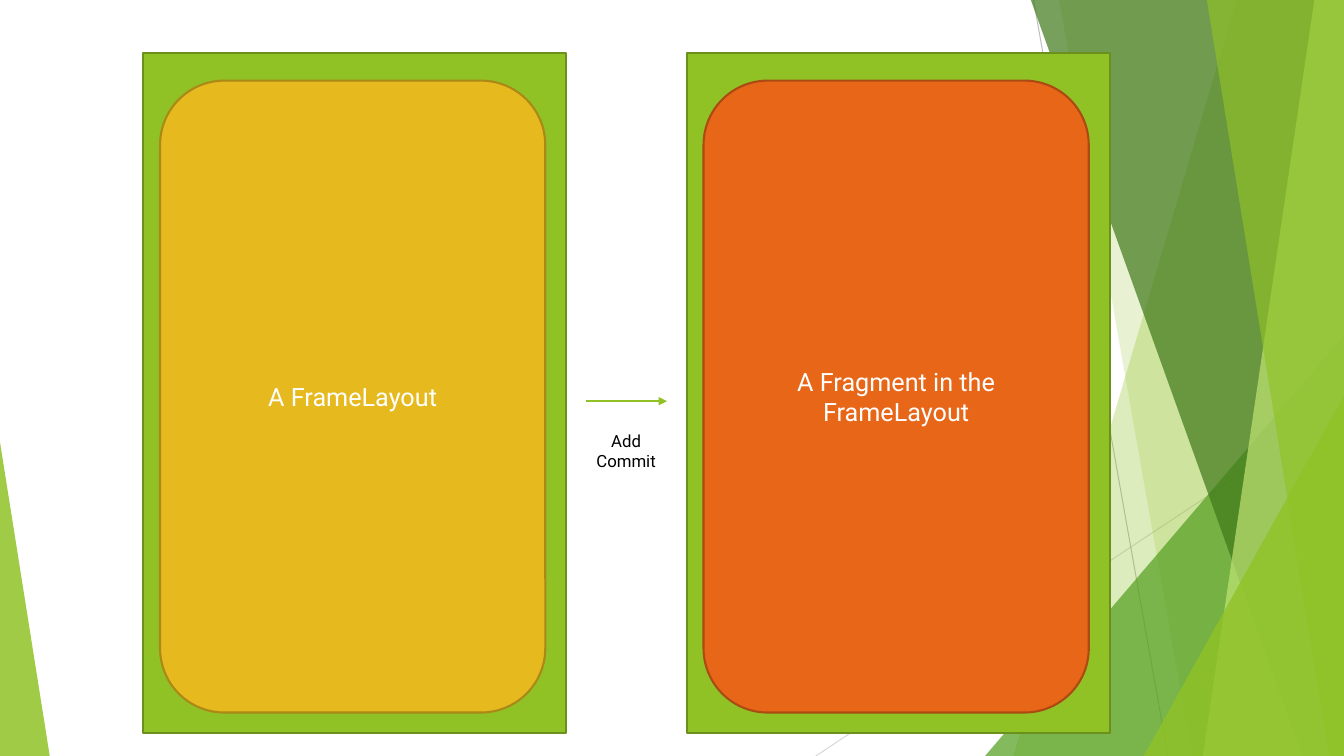
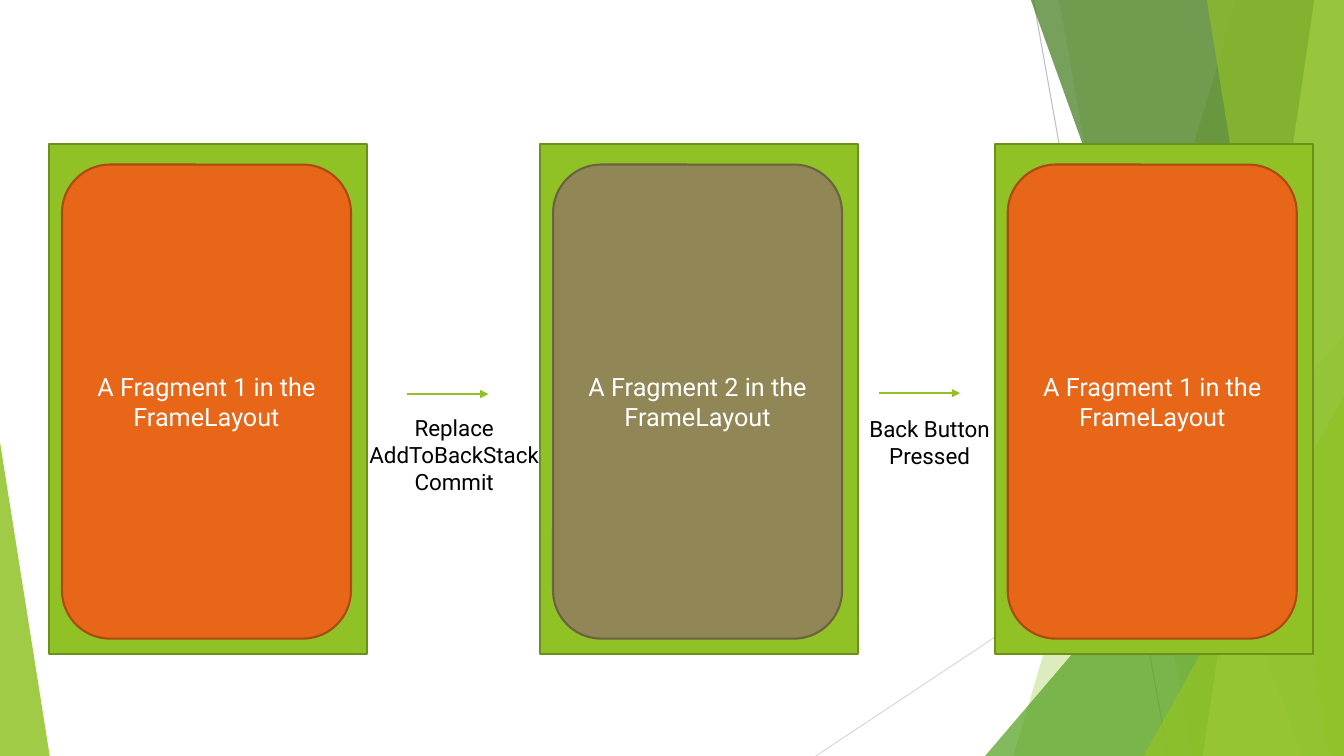
from dataclasses import dataclass

from lxml import etree
from pptx import Presentation
from pptx.dml.color import RGBColor
from pptx.enum.shapes import MSO_CONNECTOR, MSO_SHAPE
from pptx.enum.text import MSO_ANCHOR, MSO_AUTO_SIZE, PP_ALIGN
from pptx.oxml.ns import qn
from pptx.util import Inches, Pt

RECTANGLE = MSO_SHAPE.RECTANGLE
ROUNDED = MSO_SHAPE.ROUNDED_RECTANGLE
STRAIGHT = MSO_CONNECTOR.STRAIGHT
CENTER = PP_ALIGN.CENTER
MIDDLE = MSO_ANCHOR.MIDDLE
GROW = MSO_AUTO_SIZE.SHAPE_TO_FIT_TEXT

SLIDE_W = Inches(40 / 3)
SLIDE_H = Inches(7.5)
BLANK_LAYOUT = 6
FONT = "Roboto"
WHITE, BLACK = "FFFFFF", "000000"
LIME, LIME_EDGE = "90C226", "6B901C"
YELLOW = ("E6B91E", "AA8916")
ORANGE = ("E76618", "AB4B12")
OLIVE = ("918655", "6B633F")

PHONE_RATIO = 1.605
SCREEN_LEFT, SCREEN_TOP = 0.04, 0.04
SCREEN_W, SCREEN_H = 0.91, 0.93
ARROW_LENGTH = 6.04


@dataclass(frozen=True)
class Facet:
    color: str
    opacity: int
    corners: tuple[tuple[float, float], ...]


@dataclass(frozen=True)
class Ray:
    color: str
    start: tuple[float, float]
    end: tuple[float, float]


@dataclass(frozen=True)
class Phone:
    left: float
    caption: str
    colors: tuple[str, str]


@dataclass(frozen=True)
class Step:
    arrow_left: float
    arrow_top: float
    label: str
    label_box: tuple[float, float, float, float]


@dataclass(frozen=True)
class Flow:
    phone_top: float
    phone_width: float
    label_size: int
    phones: tuple[Phone, ...]
    steps: tuple[Step, ...]


RAYS = (
    Ray("D9D9D9", (60.7, 100), (99.8, 53.9)),
    Ray("BFBFBF", (76.9, 0), (86.9, 100)),
)
FACETS = (
    Facet(LIME, 30, ((92, 0), (75.4, 100), (100, 100), (100, 0))),
    Facet(LIME, 20, ((78.8, 0), (88.7, 100), (100, 100), (100, 0))),
    Facet("54A021", 72, ((73.3, 100), (100, 44.4), (100, 100))),
    Facet("3F7819", 70, ((76.7, 0), (96.9, 100), (100, 100), (100, 0))),
    Facet("C0E474", 70, ((97.8, 0), (89.5, 100), (100, 100), (100, 0))),
    Facet(LIME, 65, ((89.8, 0), (98.9, 100), (100, 100), (100, 0))),
    Facet(LIME, 80, ((85.1, 100), (100, 52.4), (100, 100))),
    Facet(LIME, 85, ((0, 58.5), (3.7, 100), (0, 100))),
)
FLOWS = (
    Flow(7.07, 31.5, 12, (
        Phone(10.65, "A FrameLayout", YELLOW),
        Phone(51.09, "A Fragment in the FrameLayout", ORANGE),
    ), (
        Step(43.59, 53.07, "Add\nCommit", (43.59, 56.27, 6, 6.67)),
    )),
    Flow(19.07, 23.63, 16, (
        Phone(3.67, "A Fragment 1 in the FrameLayout", ORANGE),
        Phone(40.21, "A Fragment 2 in the FrameLayout", OLIVE),
        Phone(74.04, "A Fragment 1 in the FrameLayout", ORANGE),
    ), (
        Step(30.3, 52.13, "Replace\nAddToBackStack\nCommit",
             (26.48, 54.13, 14.63, 12.13)),
        Step(65.4, 52, "Back Button\vPressed", (63.62, 54.27, 11.1, 8.53)),
    )),
)


def across(percent: float) -> int:
    return round(SLIDE_W * percent / 100)


def down(percent: float) -> int:
    return round(SLIDE_H * percent / 100)


def paint(color_format, color: str) -> None:
    color_format.rgb = RGBColor.from_string(color)


def fill_with(shape, color: str) -> None:
    shape.shadow.inherit = False
    shape.fill.solid()
    paint(shape.fill.fore_color, color)


def write(shape, text: str, size: int, color: str) -> None:
    frame = shape.text_frame
    frame.word_wrap = True
    frame.text = text
    for paragraph in frame.paragraphs:
        paragraph.alignment = CENTER
        paragraph.font.size = Pt(size)
        paragraph.font.name = FONT
        paint(paragraph.font.color, color)


def draw_line(slide, start: tuple[float, float], end: tuple[float, float],
              color: str, width: float):
    connector = slide.shapes.add_connector(
        STRAIGHT, across(start[0]), down(start[1]), across(end[0]), down(end[1]))
    paint(connector.line.color, color)
    connector.line.width = Pt(width)
    etree.SubElement(connector.element.spPr, qn("a:effectLst"))
    return connector


def draw_facet(slide, facet: Facet):
    first, *others = [(across(x), down(y)) for x, y in facet.corners]
    builder = slide.shapes.build_freeform(*first)
    builder.add_line_segments(others, close=True)
    shape = builder.convert_to_shape()
    fill_with(shape, facet.color)
    tint = next(shape.element.spPr.iter(qn("a:srgbClr")))
    etree.SubElement(tint, qn("a:alpha"), val=str(facet.opacity * 1000))
    shape.line.fill.background()
    return shape


def decorate_layout(layout, slide) -> None:
    rays = [draw_line(slide, ray.start, ray.end, ray.color, 0.75) for ray in RAYS]
    facets = [draw_facet(slide, facet) for facet in FACETS]
    for decoration in rays + facets:
        layout.shapes.element.append(decoration.element)


def draw_panel(slide, preset, box: tuple[float, float, float, float],
               fill: str, edge: str):
    panel = slide.shapes.add_shape(preset, *(round(length) for length in box))
    fill_with(panel, fill)
    paint(panel.line.color, edge)
    panel.line.width = Pt(1.5)
    return panel


def draw_phone(slide, phone: Phone, flow: Flow) -> None:
    left, top = across(phone.left), down(flow.phone_top)
    width = across(flow.phone_width)
    height = width * PHONE_RATIO
    draw_panel(slide, RECTANGLE, (left, top, width, height), LIME, LIME_EDGE)
    screen_box = (left + width * SCREEN_LEFT, top + height * SCREEN_TOP,
                  width * SCREEN_W, height * SCREEN_H)
    screen = draw_panel(slide, ROUNDED, screen_box, *phone.colors)
    screen.text_frame.vertical_anchor = MIDDLE
    write(screen, phone.caption, 18, WHITE)


def draw_step(slide, step: Step, label_size: int) -> None:
    arrow = draw_line(slide, (step.arrow_left, step.arrow_top),
                      (step.arrow_left + ARROW_LENGTH, step.arrow_top), LIME, 1)
    etree.SubElement(arrow.element.spPr.find(qn("a:ln")), qn("a:tailEnd"),
                     type="triangle")
    left, top, width, height = step.label_box
    label = slide.shapes.add_textbox(
        across(left), down(top), across(width), down(height))
    write(label, step.label, label_size, BLACK)
    label.text_frame.auto_size = GROW


def main() -> None:
    deck = Presentation()
    deck.slide_width, deck.slide_height = SLIDE_W, SLIDE_H
    layout = deck.slide_layouts[BLANK_LAYOUT]
    slides = [deck.slides.add_slide(layout) for _ in FLOWS]
    decorate_layout(layout, slides[0])
    for slide, flow in zip(slides, FLOWS):
        for phone in flow.phones:
            draw_phone(slide, phone, flow)
        for step in flow.steps:
            draw_step(slide, step, flow.label_size)
    deck.save("out.pptx")


if __name__ == "__main__":
    main()
